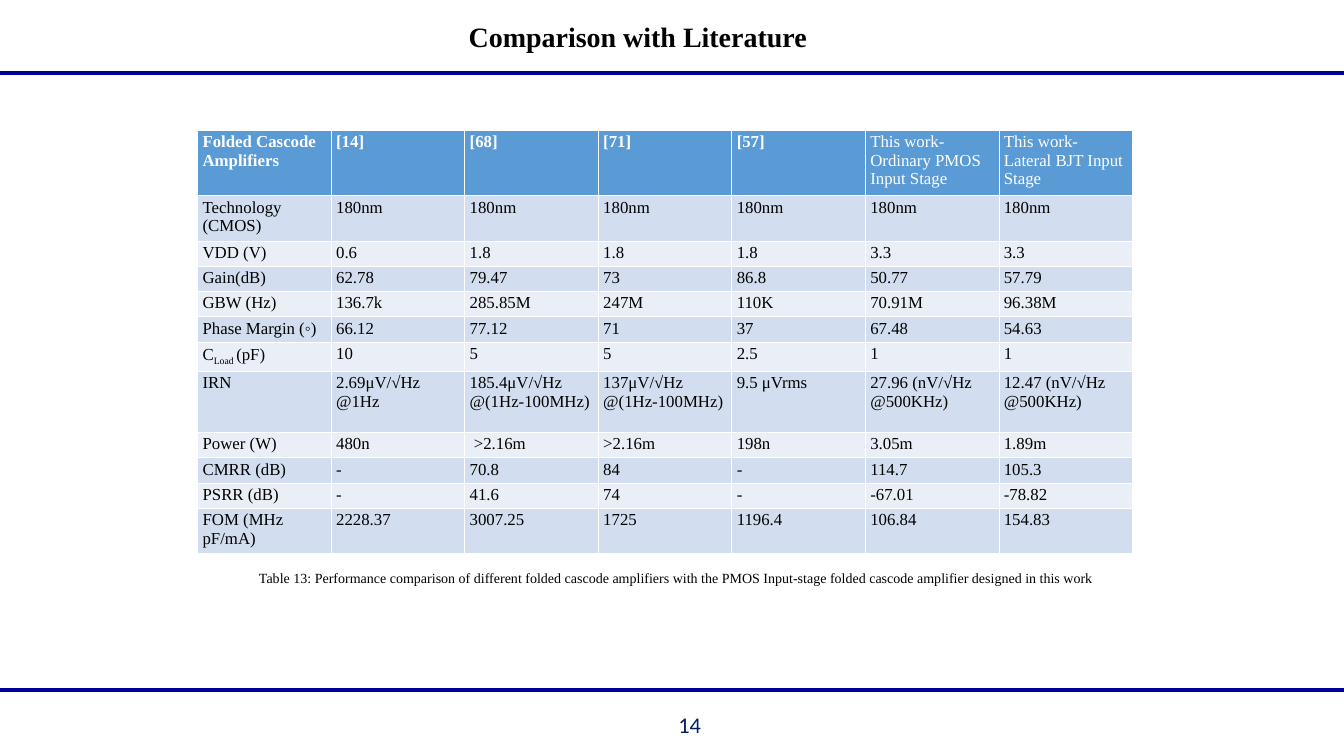
from lxml.etree import SubElement
from pptx import Presentation
from pptx.dml.color import RGBColor
from pptx.enum.shapes import MSO_CONNECTOR
from pptx.enum.text import MSO_ANCHOR, PP_ALIGN
from pptx.oxml.ns import qn
from pptx.util import Inches, Pt

THEME = {
    "serif": "Times New Roman", "sans": "Calibri",
    "black": "000000", "white": "FFFFFF", "rule": "000099", "number": "002060",
    "header": "5B9BD5", "bands": ("D2DEEF", "EAEFF7"),
    "title_size": 40, "number_size": 32, "table_size": 24, "caption_size": 20,
}

# Content
TITLE = "Comparison with Literature"
CAPTION = ("Table 13: Performance comparison of different folded cascode amplifiers "
           "with the PMOS Input-stage folded cascode amplifier designed in this work")
PAGE_NUMBER = "14"
HEADER = ["Folded Cascode Amplifiers", "[14]", "[68]", "[71]", "[57]",
          "This work- Ordinary PMOS Input Stage", "This work- Lateral BJT Input Stage"]
LOAD_LABEL = ("C", "Load ", "(pF)")  # the middle part is a subscript
ROWS = [
    ["Technology (CMOS)"] + ["180nm"] * 6,
    ["VDD (V)", "0.6", "1.8", "1.8", "1.8", "3.3", "3.3"],
    ["Gain(dB)", "62.78", "79.47", "73", "86.8", "50.77", "57.79"],
    ["GBW (Hz)", "136.7k", "285.85M", "247M", "110K", "70.91M", "96.38M"],
    ["Phase Margin (◦)", "66.12", "77.12", "71", "37", "67.48", "54.63"],
    [LOAD_LABEL, "10", "5", "5", "2.5", "1", "1"],
    ["IRN", "2.69μV/√Hz @1Hz", "185.4μV/√Hz @(1Hz-100MHz)", "137μV/√Hz @(1Hz-100MHz)",
     "9.5 μVrms", "27.96 (nV/√Hz @500KHz)", "12.47 (nV/√Hz @500KHz)"],
    ["Power (W)", "480n", " >2.16m", ">2.16m", "198n", "3.05m", "1.89m"],
    ["CMRR (dB)", "-", "70.8", "84", "-", "114.7", "105.3"],
    ["PSRR (dB)", "-", "41.6", "74", "-", "-67.01", "-78.82"],
    ["FOM (MHz pF/mA)", "2228.37", "3007.25", "1725", "1196.4", "106.84", "154.83"],
]

# Layout, in inches
SLIDE_WIDTH, SLIDE_HEIGHT = 26.67, 15
RULE_TOPS = (1.45, 13.69)
TABLE_LEFT, TABLE_TOP, COLUMN_WIDTH = 3.92, 2.58, 2.65
ONE_LINE, TWO_LINES, THREE_LINES, LOAD_LINE = 0.47, 0.84, 1.21, 0.56
ROW_HEIGHTS = ([THREE_LINES, TWO_LINES] + [ONE_LINE] * 4 + [LOAD_LINE, THREE_LINES]
               + [ONE_LINE] * 3 + [TWO_LINES])


def set_font(paragraph, size, color, name=THEME["serif"], bold=False):
    font = paragraph.font
    font.size, font.name, font.bold = Pt(size), name, bold
    font.color.rgb = RGBColor.from_string(color)


def add_text(slide, box, text, size, color, align=PP_ALIGN.LEFT,
             anchor=MSO_ANCHOR.TOP, **font):
    frame = slide.shapes.add_textbox(*map(Inches, box)).text_frame
    frame.word_wrap = True
    frame.vertical_anchor = anchor
    paragraph = frame.paragraphs[0]
    paragraph.text = text
    paragraph.alignment = align
    set_font(paragraph, size, color, **font)
    return frame


def add_rule(slide, top):
    line = slide.shapes.add_connector(MSO_CONNECTOR.STRAIGHT, 0, Inches(top),
                                      Inches(SLIDE_WIDTH), Inches(top))
    line.line.color.rgb = RGBColor.from_string(THEME["rule"])
    line.line.width = Pt(6)
    SubElement(line._element.spPr, qn("a:effectLst"))


def set_borders(cell, top, bottom):
    properties = cell._tc.get_or_add_tcPr()
    for side, width in (("L", 1), ("R", 1), ("T", top), ("B", bottom)):
        border = SubElement(properties, qn(f"a:ln{side}"), w=str(Pt(width)))
        fill = SubElement(border, qn("a:solidFill"))
        SubElement(fill, qn("a:srgbClr"), val=THEME["white"])


def fill_cell(cell, content, row, column):
    is_header = row == 0
    set_borders(cell, top=3 if row == 1 else 1, bottom=3 if is_header else 1)
    cell.fill.solid()
    color = THEME["header"] if is_header else THEME["bands"][(row - 1) % 2]
    cell.fill.fore_color.rgb = RGBColor.from_string(color)
    paragraph = cell.text_frame.paragraphs[0]
    if content is LOAD_LABEL:
        paragraph.line_spacing, paragraph.space_after = 1.07, Pt(8)
        for part in content:
            paragraph.add_run().text = part
        paragraph.runs[1]._r.get_or_add_rPr().set("baseline", "-25000")
    else:
        paragraph.text = content
    set_font(paragraph, THEME["table_size"], THEME["white" if is_header else "black"],
             bold=is_header and column < 5)


def add_comparison_table(slide):
    contents = [HEADER] + ROWS
    table = slide.shapes.add_table(
        len(contents), len(HEADER), Inches(TABLE_LEFT), Inches(TABLE_TOP),
        Inches(COLUMN_WIDTH * len(HEADER)), Inches(sum(ROW_HEIGHTS))).table
    for column in table.columns:
        column.width = Inches(COLUMN_WIDTH)
    for row, (height, values) in enumerate(zip(ROW_HEIGHTS, contents)):
        table.rows[row].height = Inches(height)
        for column, content in enumerate(values):
            fill_cell(table.cell(row, column), content, row, column)


def main():
    presentation = Presentation()
    presentation.slide_width = Inches(SLIDE_WIDTH)
    presentation.slide_height = Inches(SLIDE_HEIGHT)
    slide = presentation.slides.add_slide(presentation.slide_layouts[6])

    # Rules and page number
    for top in RULE_TOPS:
        add_rule(slide, top)
    add_text(slide, (12.66, 13.97, 1.35, 0.8), PAGE_NUMBER, THEME["number_size"],
             THEME["number"], PP_ALIGN.RIGHT, MSO_ANCHOR.MIDDLE, name=THEME["sans"])

    # Table and caption
    add_comparison_table(slide)
    add_text(slide, (5.04, 11.26, 17.02, 0.44), CAPTION, THEME["caption_size"],
             THEME["black"])

    # Title
    title = add_text(slide, (4.89, 0.07, 15.53, 1.37), TITLE, THEME["title_size"],
                     THEME["black"], PP_ALIGN.CENTER, MSO_ANCHOR.MIDDLE, bold=True)
    title.margin_left = title.margin_right = 0
    title.paragraphs[0].line_spacing = 0.9

    presentation.save("out.pptx")


if __name__ == "__main__":
    main()
